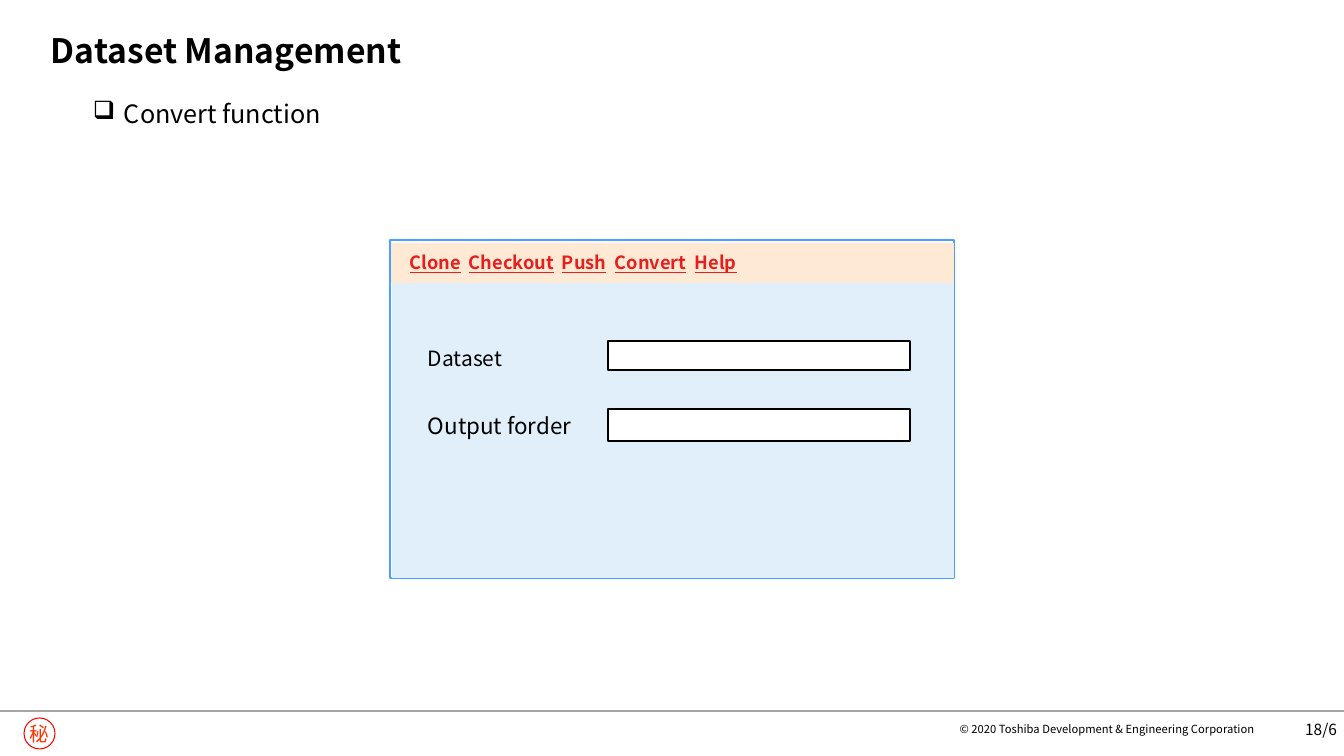
from lxml import etree
from pptx import Presentation
from pptx.dml.color import RGBColor
from pptx.enum.shapes import MSO_CONNECTOR, MSO_SHAPE
from pptx.enum.text import MSO_ANCHOR, PP_ALIGN
from pptx.oxml.ns import qn
from pptx.util import Emu, Pt

FONT = "Noto Sans CJK JP"
W, H = 1344, 756
BLACK, WHITE, RED = "000000", "FFFFFF", "E61E1E"

# Content: boxes are left, top, width, height in px
TITLE = "Dataset Management"
BULLET = "Convert function"
MENU = ["Clone", "Checkout", "Push", "Convert", "Help"]
MENU_TABS = [59, 152, 205, 285]
FIELDS = [  # label, size, label top, label height, input top, input height
    ("Dataset", 15, 341, 35, 341, 29),
    ("Output forder", 16, 407, 37, 409, 32),
]
PANELS = [  # box, fill, line
    ((390, 240, 564, 338), WHITE, "4BA1FF"),
    ((392, 281, 562, 297), "E0EFF9", None),
    ((391, 243, 563, 40), "FEEAD4", None),
]
COPYRIGHT = "© 2020 Toshiba Development & Engineering Corporation"
PAGE = "18/6"
MARK = "秘"


def px(n):
    return Emu(round(n * 914400 / 100.8))


def rgb(color):
    return RGBColor.from_string(color)


def style(r, size, color=BLACK, bold=False, underline=False):
    r.font.name, r.font.size = FONT, Pt(size)
    r.font.bold, r.font.underline = bold, underline
    r.font.color.rgb = rgb(color)
    ea = etree.SubElement(r.font._element, qn("a:ea"))
    ea.set("typeface", FONT)


def set_text(sp, text, size, color=BLACK, bold=False, align=PP_ALIGN.LEFT,
             anchor=MSO_ANCHOR.TOP, insets=(10, 5, 10, 5)):
    tf = sp.text_frame
    tf.word_wrap = True
    tf.vertical_anchor = anchor
    (tf.margin_left, tf.margin_top,
     tf.margin_right, tf.margin_bottom) = map(px, insets)
    tf.text = text
    p = tf.paragraphs[0]
    p.alignment = align
    for r in p.runs:
        style(r, size, color, bold)
    return p


def add_text(s, box, text, size, **options):
    sp = s.shapes.add_textbox(*map(px, box))
    return set_text(sp, text, size, **options)


def add_box(s, kind, box, fill=None, line=None, width=1):
    sp = s.shapes.add_shape(kind, *map(px, box))
    sp.shadow.inherit = False
    if fill:
        sp.fill.solid()
        sp.fill.fore_color.rgb = rgb(fill)
    else:
        sp.fill.background()
    if line:
        sp.line.color.rgb = rgb(line)
        sp.line.width = Pt(width)
    else:
        sp.line.fill.background()
    return sp


prs = Presentation()
prs.slide_width, prs.slide_height = px(W), px(H)
s = prs.slides.add_slide(prs.slide_layouts[6])

# Footer
mark = add_box(s, MSO_SHAPE.OVAL, (24, 718, 31, 31), line="FF0000", width=0.75)
set_text(mark, MARK, 14, color="FF3300", align=PP_ALIGN.CENTER,
         anchor=MSO_ANCHOR.MIDDLE, insets=(0, 0, 0, 0))
rule = s.shapes.add_connector(MSO_CONNECTOR.STRAIGHT, 0, px(711), px(W), px(711))
rule.line.color.rgb = rgb("A6A6A6")
rule.line.width = Pt(1.5)
etree.SubElement(rule._element.spPr, qn("a:effectLst"))
for box, text, size in [((1265, 709, 72, 40), PAGE, 11),
                        ((938, 723, 317, 13), COPYRIGHT, 8)]:
    add_text(s, box, text, size, align=PP_ALIGN.RIGHT,
             anchor=MSO_ANCHOR.MIDDLE, insets=(0, 0, 0, 0))

# Title and bullet
p = add_text(s, (0, 0, 1261, 83), TITLE, 24, bold=True,
             anchor=MSO_ANCHOR.BOTTOM, insets=(51, 12, 47, 12))
p.line_spacing = 0.9
p = add_text(s, (83, 93, 337, 40), BULLET, 18)
pPr = p._p.get_or_add_pPr()
pPr.set("marL", str(px(31)))
pPr.set("indent", str(px(-31)))
etree.SubElement(pPr, qn("a:buChar")).set("char", "❑")

# Window panels
for box, fill, line in PANELS:
    add_box(s, MSO_SHAPE.RECTANGLE, box, fill, line)

# Form fields
for label, size, top, height, input_top, input_height in FIELDS:
    add_text(s, (418, top, 220, height), label, size)
    add_box(s, MSO_SHAPE.RECTANGLE, (608, input_top, 302, input_height), WHITE, BLACK)

# Menu bar, items placed on tab stops
p = add_text(s, (396, 246, 551, 32), "", 13, insets=(14, 5, 10, 5))
tabs = etree.SubElement(p._p.get_or_add_pPr(), qn("a:tabLst"))
for stop in MENU_TABS:
    etree.SubElement(tabs, qn("a:tab"), pos=str(px(stop)), algn="l")
for i, item in enumerate(MENU):
    if i:
        r = p.add_run()
        r.text = "\t"
        style(r, 13, bold=True)
    r = p.add_run()
    r.text = item
    style(r, 13, RED, bold=True, underline=True)

prs.save("out.pptx")
